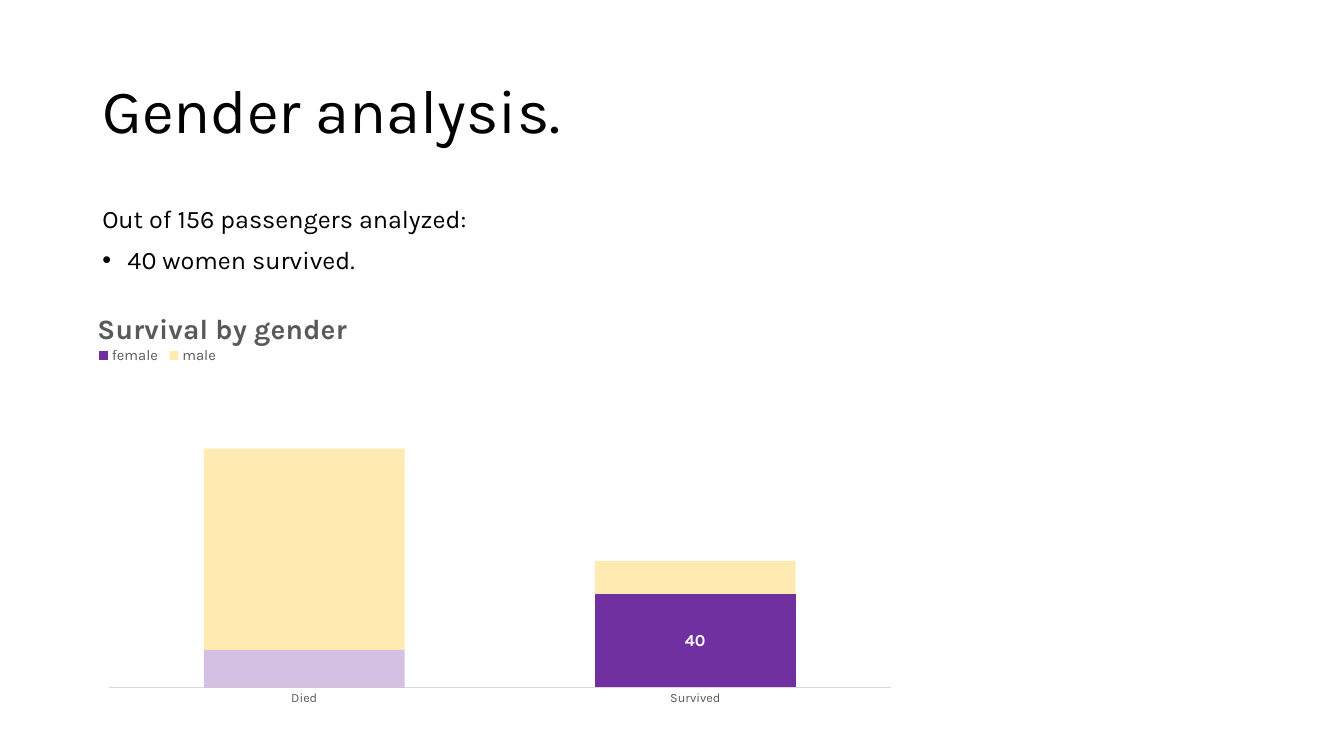
from lxml.etree import SubElement
from pptx import Presentation
from pptx.chart.data import CategoryChartData
from pptx.dml.color import RGBColor
from pptx.enum.chart import XL_CHART_TYPE, XL_LEGEND_POSITION, XL_TICK_LABEL_POSITION, XL_TICK_MARK
from pptx.enum.text import MSO_ANCHOR, PP_ALIGN
from pptx.oxml import parse_xml
from pptx.oxml.ns import nsdecls, qn
from pptx.util import Pt

BLACK = RGBColor(0x00, 0x00, 0x00)
WHITE = RGBColor(0xFF, 0xFF, 0xFF)
GRAY = RGBColor(0x59, 0x59, 0x59)
RULE = RGBColor(0xD9, 0xD9, 0xD9)
PURPLE = RGBColor(0x70, 0x30, 0xA0)
GOLD = RGBColor(0xFF, 0xC0, 0x00)
FACE = "Karla"


def assign(item, **values):
    for name, value in values.items():
        setattr(item, name, value)


def style(font, size, color=BLACK, bold=False):
    assign(font, name=FACE, size=Pt(size), bold=bold)
    font.color.rgb = color


def place(shape, box):
    left, top, width, height = map(Pt, box)
    assign(shape, left=left, top=top, width=width, height=height)


def paint(fill, color, alpha=100):
    fill.solid()
    fill.fore_color.rgb = color
    if alpha < 100:
        tone = next(fill._xPr.iter(qn("a:srgbClr")))
        SubElement(tone, qn("a:alpha"), val=str(alpha * 1000))


def arrange(node, index, inner=False, **parts):
    for old in node.findall(qn("c:layout")):
        node.remove(old)
    layout = parse_xml(f"<c:layout {nsdecls('c')}><c:manualLayout/></c:layout>")
    manual = layout[0]
    if inner:
        SubElement(manual, qn("c:layoutTarget"), val="inner")
    for name in "xy":
        SubElement(manual, qn(f"c:{name}Mode"), val="edge")
    for name, value in parts.items():
        SubElement(manual, qn(f"c:{name}"), val=str(value))
    node.insert(index, layout)


def add_title(slide, box):
    title = slide.shapes.title
    place(title, box)
    frame = title.text_frame
    assign(frame, text="Gender analysis.", vertical_anchor=MSO_ANCHOR.MIDDLE, word_wrap=True)
    line = frame.paragraphs[0]
    assign(line, alignment=PP_ALIGN.LEFT, line_spacing=0.9)
    style(line.runs[0].font, 44)


def add_body(slide, box):
    frame = slide.shapes.add_textbox(*map(Pt, box)).text_frame
    assign(frame, word_wrap=True, text="Out of 156 passengers analyzed:\n40 women survived.")
    for line in frame.paragraphs:
        assign(line, line_spacing=0.9, space_before=Pt(10))
        style(line.runs[0].font, 18)
    props = frame.paragraphs[1]._p.get_or_add_pPr()
    props.set("marL", str(Pt(18)))
    props.set("indent", str(Pt(-18)))
    SubElement(props, qn("a:buFont"), typeface="Arial")
    SubElement(props, qn("a:buChar"), char="•")


def add_bars(slide, box):
    data = CategoryChartData()
    data.categories = ["Died", "Survived"]
    data.add_series("female", (16, 40))
    data.add_series("male", (86, 14))
    chart = slide.shapes.add_chart(XL_CHART_TYPE.COLUMN_STACKED, *map(Pt, box), data).chart
    style(chart.font, 10)

    chart.has_title = True
    title = chart.chart_title
    title.text_frame.text = "Survival by gender"
    style(title.text_frame.paragraphs[0].runs[0].font, 20, GRAY, True)
    arrange(title._element, 1, x=0.0, y=0.0)

    chart.has_legend = True
    legend = chart.legend
    assign(legend, position=XL_LEGEND_POSITION.TOP, include_in_layout=False)
    style(legend.font, 10.5, GRAY)
    arrange(legend._element, 1, x=0.0, y=0.09, w=0.16, h=0.07)

    axis = chart.category_axis
    assign(axis, major_tick_mark=XL_TICK_MARK.NONE, minor_tick_mark=XL_TICK_MARK.NONE,
           tick_label_position=XL_TICK_LABEL_POSITION.NEXT_TO_AXIS)
    axis.tick_labels.offset = 0
    style(axis.tick_labels.font, 9, GRAY)
    axis.format.line.width = Pt(0.75)
    axis.format.line.color.rgb = RULE
    assign(chart.value_axis, visible=False, has_major_gridlines=False,
           minimum_scale=0, maximum_scale=120)

    plot = chart.plots[0]
    assign(plot, gap_width=95, overlap=100, vary_by_categories=False)
    arrange(chart._chartSpace.chart.plotArea, 0, True, x=0.02, y=0.25, w=0.96, h=0.69)
    female, male = plot.series
    paint(female.format.fill, PURPLE)
    paint(female.points[0].format.fill, PURPLE, 30)
    paint(male.format.fill, GOLD, 30)

    labels = female.data_labels
    labels.show_value = True
    style(labels.font, 12, WHITE, True)
    labels._element.insert(0, parse_xml(
        f'<c:dLbl {nsdecls("c")}><c:idx val="0"/><c:delete val="1"/></c:dLbl>'))


def main():
    deck = Presentation()
    assign(deck, slide_width=Pt(960), slide_height=Pt(540))
    slide = deck.slides.add_slide(deck.slide_layouts[5])
    add_title(slide, (66, 28.8, 828, 104.4))
    add_body(slide, (66, 144, 828, 342.7))
    add_bars(slide, (66, 217.6, 582, 291))
    deck.save("out.pptx")


if __name__ == "__main__":
    main()
